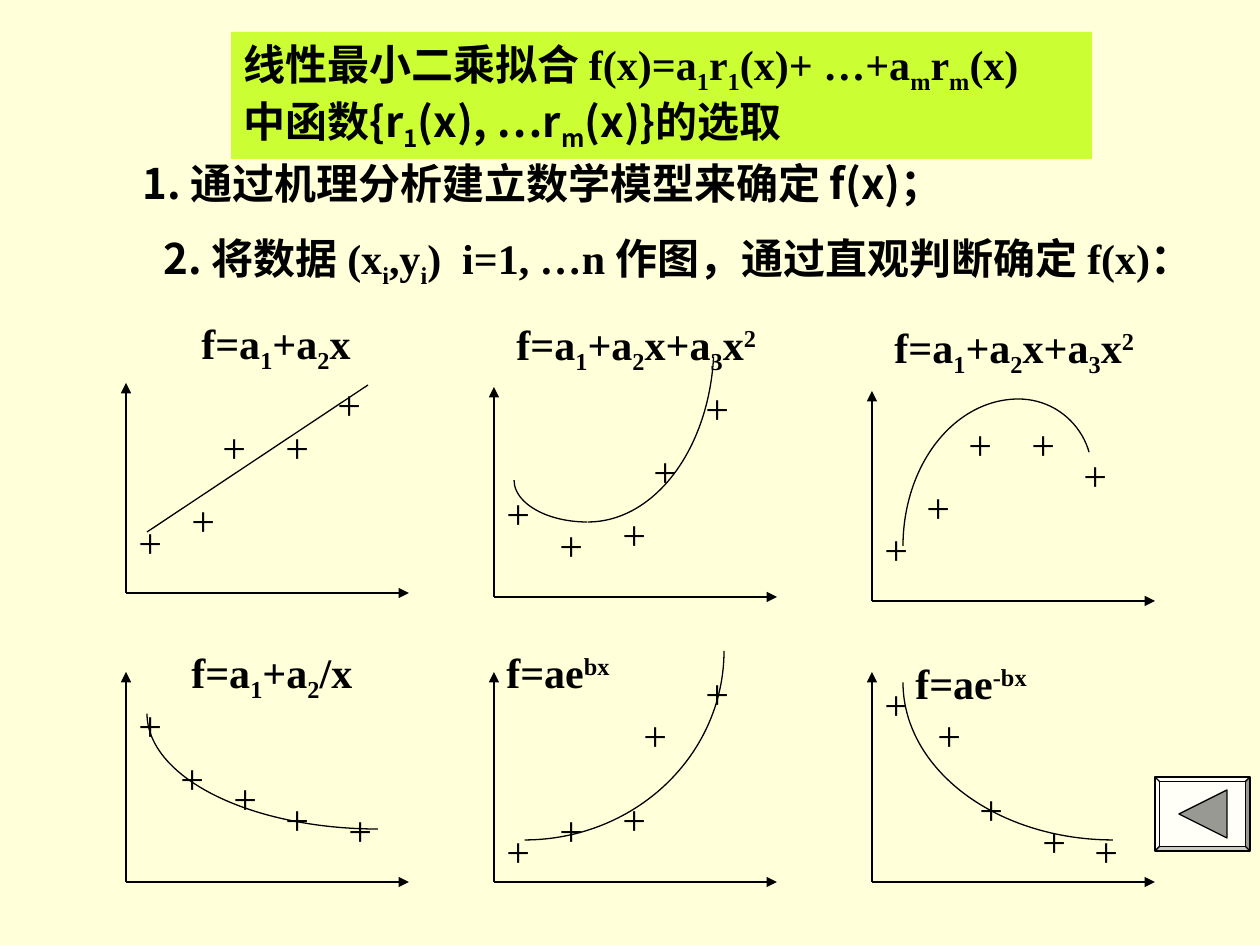
from lxml.etree import SubElement
from pptx import Presentation
from pptx.dml.color import RGBColor
from pptx.enum.shapes import MSO_CONNECTOR, MSO_SHAPE
from pptx.enum.text import PP_ALIGN
from pptx.oxml.ns import qn
from pptx.util import Emu, Pt

PX = 914400 / 126
LATIN, CJK = "Times New Roman", "Noto Sans CJK SC"
BLACK = RGBColor(0x00, 0x00, 0x00)
CREAM = RGBColor(0xFF, 0xFF, 0xD9)
LIME = RGBColor(0xCC, 0xFF, 0x33)
IVORY = RGBColor(0xFF, 0xFF, 0xF7)
GRAY = RGBColor(0x99, 0x99, 0x94)

# Each line is a list of (font, markup); "|" separates runs, "_" lowers, "^" raises.
HEADING = [
    [(LATIN, "线性最小二乘拟合 f(x)=a|_1|r|_1|(x)+ …+a|_m|r|_m|(x)")],
    [(LATIN, "中函数"), (CJK, "{r|_1|(x), …r|_m|(x)}的选取")],
]
STEP_1 = [[(CJK, "1. 通过机理分析建立数学模型来确定 f(x)；")]]
STEP_2 = [[
    (CJK, "2. 将数据 "), (LATIN, "(x|_i|,y|_i|)  i=1, …n "),
    (CJK, "作图，通过直观判断确定 "), (LATIN, "f(x)："),
]]
QUADRATIC = "f=a|_1|+a|_2|x+a|_3|x|^2"

X_AXIS, Y_AXIS = 283, 210
MARK_W, MARK_H = 53, 63
# Marks are measured from the origin; an arc is an ellipse box, start and end in degrees.
PLOTS = [
    dict(origin=(126, 593), formula="f=a|_1|+a|_2|x", label=(189, 311, 179, 71),
         marks=[(0, -83), (53, -105), (84, -178), (147, -178), (199, -221)],
         trend=(147, 532, 368, 385)),
    dict(origin=(494, 597), formula=QUADRATIC, label=(504, 312, 294, 71),
         marks=[(0, -116), (53, -84), (116, -95), (147, -158), (199, -221)],
         arcs=[((514, 438, 147, 84), 90, 180), ((462, 165, 252, 357), 6, 90)]),
    dict(origin=(872, 601), formula=QUADRATIC, label=(882, 315, 273, 71),
         marks=[(0, -84), (42, -126), (84, -189), (147, -189), (199, -158)],
         arcs=[((903, 399, 231, 294), 180, 270), ((945, 399, 147, 147), 270, 344)]),
    dict(origin=(126, 882), formula="f=a|_1|+a|_2|/x", label=(179, 640, 242, 71),
         marks=[(0, -189), (42, -136), (95, -116), (147, -95), (210, -84)],
         arcs=[((147, 598, 462, 231), 90, 180)]),
    dict(origin=(494, 882), formula="f=ae|^bx", label=(494, 640, 242, 63),
         marks=[(0, -63), (53, -84), (116, -95), (137, -179), (199, -221)],
         arcs=[((325, 462, 399, 378), 0, 90)]),
    dict(origin=(872, 882), formula="f=ae|^-bx", label=(903, 651, 242, 63),
         marks=[(0, -210), (53, -179), (95, -105), (158, -73), (210, -63)],
         arcs=[((903, 525, 420, 315), 90, 180)]),
]


def px(*lengths):
    return [Emu(round(length * PX)) for length in lengths]


def set_east_asian(properties):
    SubElement(properties, qn("a:ea")).set("typeface", CJK)


def write(shape, lines, bold=True, wrap=True, align=PP_ALIGN.LEFT):
    shape.text_frame.word_wrap = wrap
    paragraph = shape.text_frame.paragraphs[0]
    paragraph.alignment = align
    font = paragraph.font
    font.size, font.bold, font.name = Pt(24), bold, lines[0][0][0]
    font.color.rgb = BLACK
    set_east_asian(paragraph._p.pPr.find(qn("a:defRPr")))
    mixed = len({name for line in lines for name, _ in line}) > 1
    for number, line in enumerate(lines):
        if number:
            paragraph.add_line_break()
        for name, markup in line:
            for piece in markup.split("|"):
                run = paragraph.add_run()
                run.text = piece.lstrip("_^")
                properties = run._r.get_or_add_rPr()
                if piece[0] in "_^":
                    properties.set("baseline", "-25000" if piece[0] == "_" else "30000")
                if mixed:
                    run.font.name = name
                    set_east_asian(properties)


def add_text(slide, box, lines, **style):
    write(slide.shapes.add_textbox(*px(*box)), lines, **style)


def add_line(slide, ends, arrow=False):
    line = slide.shapes.add_connector(MSO_CONNECTOR.STRAIGHT, *px(*ends))
    line.line.color.rgb, line.line.width = BLACK, Pt(0.75)
    if arrow:
        SubElement(line.line._get_or_add_ln(), qn("a:tailEnd")).set("type", "triangle")
    SubElement(line._element.spPr, qn("a:effectLst"))


def add_outlined(slide, preset, box, fill=None):
    shape = slide.shapes.add_shape(preset, *px(*box))
    shape.shadow.inherit = False
    shape.line.color.rgb, shape.line.width = BLACK, Pt(0.75)
    if fill is None:
        shape.fill.background()
    else:
        shape.fill.solid()
        shape.fill.fore_color.rgb = fill
    return shape


def add_arc(slide, ellipse, start, end):
    arc = add_outlined(slide, MSO_SHAPE.ARC, ellipse)
    for index, degrees in enumerate((start, end)):
        arc.adjustments[index] = degrees * 0.6  # 60000 units a degree, over 100000


def add_plot(slide, origin, formula, label, marks, trend=None, arcs=()):
    x, y = origin
    add_line(slide, (x, y, x, y - Y_AXIS), arrow=True)
    add_line(slide, (x, y, x + X_AXIS, y), arrow=True)
    for dx, dy in marks:
        add_text(slide, (x + dx, y + dy, MARK_W, MARK_H), [[(LATIN, "+")]], bold=False)
    if trend:
        add_line(slide, trend)
    for arc in arcs:
        add_arc(slide, *arc)
    add_text(slide, label, [[(LATIN, formula)]])


def main():
    deck = Presentation()
    deck.slide_width, deck.slide_height = px(1260, 945)
    slide = deck.slides.add_slide(deck.slide_layouts[6])
    slide.background.fill.solid()
    slide.background.fill.fore_color.rgb = CREAM

    heading = add_outlined(slide, MSO_SHAPE.RECTANGLE, (231, 32, 861, 127), LIME)
    heading.line.fill.background()
    write(heading, HEADING)
    add_text(slide, (130, 151, 903, 63), STEP_1)
    for plot in PLOTS:
        add_plot(slide, **plot)
    add_text(slide, (107, 226, 1142, 71), STEP_2, wrap=False, align=PP_ALIGN.CENTER)

    button = add_outlined(slide, MSO_SHAPE.BEVEL, (1155, 777, 95, 74), IVORY)
    button.adjustments[0] = 0.06
    back = add_outlined(slide, MSO_SHAPE.ISOSCELES_TRIANGLE, (1179, 790, 48, 48), GRAY)
    back.rotation = 270
    deck.save("out.pptx")


if __name__ == "__main__":
    main()
